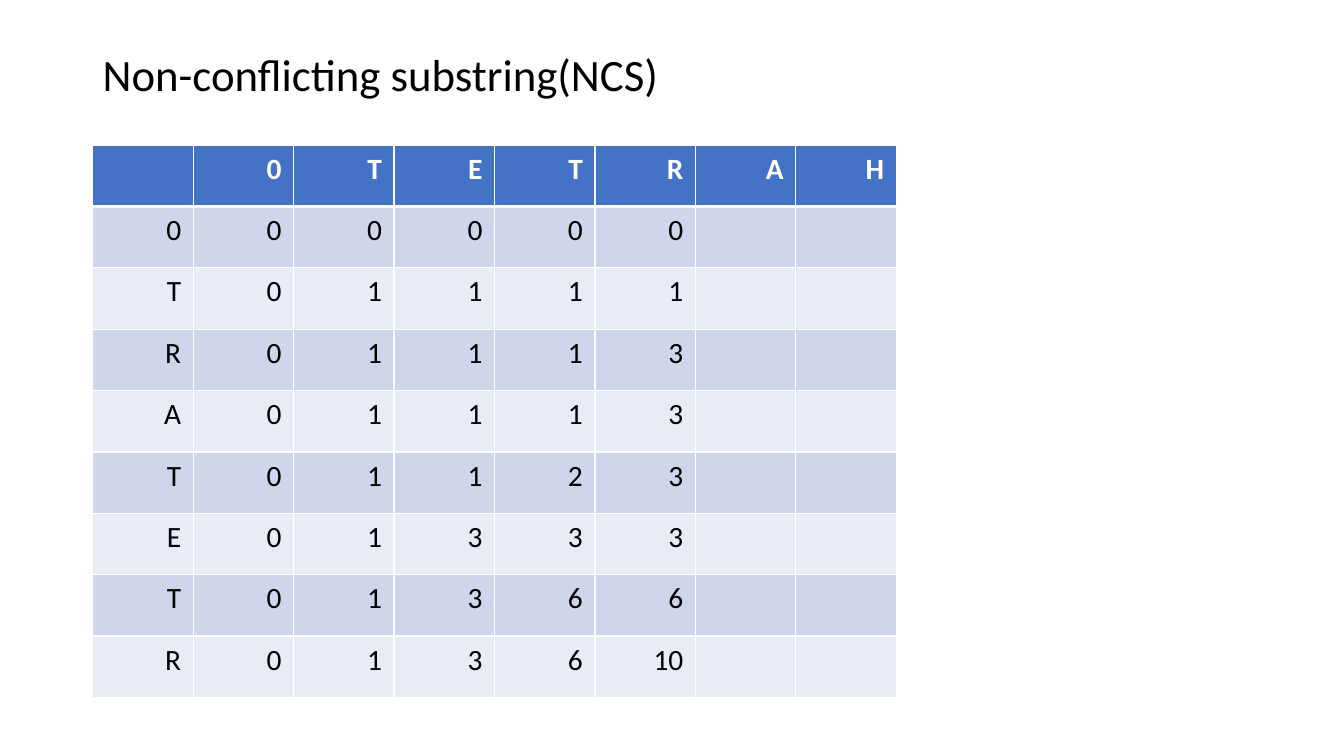
from dataclasses import dataclass

from lxml.etree import SubElement
from pptx import Presentation
from pptx.dml.color import RGBColor
from pptx.enum.text import MSO_ANCHOR, PP_ALIGN
from pptx.oxml.ns import qn
from pptx.slide import Slide
from pptx.table import Table, _Cell
from pptx.text.text import _Paragraph
from pptx.util import Inches, Pt

WHITE = RGBColor(0xFF, 0xFF, 0xFF)
BLACK = RGBColor(0x00, 0x00, 0x00)
BLUE = RGBColor(0x44, 0x72, 0xC4)
DARK = RGBColor(0xCF, 0xD5, 0xEA)
LIGHT = RGBColor(0xE9, 0xEB, 0xF5)
FACE = "Calibri"
WIDTH = 8


@dataclass
class Row:
    texts: list[str]
    fill: RGBColor
    ink: RGBColor = BLACK
    bold: bool = False
    top: int = 1
    base: int = 1


HEAD = Row(["", *"0TETRAH"], BLUE, WHITE, bold=True, base=3)
SCORES = [
    ("0", [0, 0, 0, 0, 0]),
    ("T", [0, 1, 1, 1, 1]),
    ("R", [0, 1, 1, 1, 3]),
    ("A", [0, 1, 1, 1, 3]),
    ("T", [0, 1, 1, 2, 3]),
    ("E", [0, 1, 3, 3, 3]),
    ("T", [0, 1, 3, 6, 6]),
    ("R", [0, 1, 3, 6, 10]),
]


def add_run(para: _Paragraph, text: str, size: int, ink: RGBColor, bold: bool = False) -> None:
    run = para.add_run()
    run.text = text
    run.font.name = FACE
    run.font.size = Pt(size)
    run.font.bold = bold
    run.font.color.rgb = ink


def add_title(slide: Slide, text: str) -> None:
    box = slide.shapes.add_textbox(Inches(0.92), Inches(0.4), Inches(11.5), Inches(0.73))
    frame = box.text_frame
    frame.word_wrap = True
    frame.vertical_anchor = MSO_ANCHOR.MIDDLE
    para = frame.paragraphs[0]
    para.line_spacing = 0.9
    add_run(para, text, 32, BLACK)


def add_edge(cell: _Cell, side: str, width: int) -> None:
    props = cell._tc.get_or_add_tcPr()
    line = SubElement(props, qn(f"a:{side}"), w=str(Pt(width)))
    paint = SubElement(line, qn("a:solidFill"))
    SubElement(paint, qn("a:srgbClr"), val=str(WHITE))


def fill_cell(cell: _Cell, text: str, row: Row) -> None:
    edges = {"lnL": 1, "lnR": 1, "lnT": row.top, "lnB": row.base}
    for side, width in edges.items():
        add_edge(cell, side, width)
    cell.fill.solid()
    cell.fill.fore_color.rgb = row.fill
    cell.margin_left = cell.margin_right = Inches(0.12)
    cell.margin_top = cell.margin_bottom = Inches(0.06)
    if text:
        para = cell.text_frame.paragraphs[0]
        para.alignment = PP_ALIGN.RIGHT
        add_run(para, text, 21, row.ink, row.bold)


def fill_table(table: Table, rows: list[Row]) -> None:
    for index, row in enumerate(rows):
        for column, text in enumerate(row.texts):
            fill_cell(table.cell(index, column), text, row)


def get_rows() -> list[Row]:
    rows = [HEAD]
    for index, (label, scores) in enumerate(SCORES):
        texts = [label, *map(str, scores)]
        texts += [""] * (WIDTH - len(texts))
        fill = LIGHT if index % 2 else DARK
        rows.append(Row(texts, fill, top=1 if index else HEAD.base))
    return rows


def main() -> None:
    deck = Presentation()
    deck.slide_width = Inches(13.33)
    deck.slide_height = Inches(7.5)
    slide = deck.slides.add_slide(deck.slide_layouts[6])
    add_title(slide, "Non-conflicting substring(NCS)")
    rows = get_rows()
    grid = slide.shapes.add_table(
        len(rows), WIDTH, Inches(0.92), Inches(1.44), Inches(7.97), Inches(5.48)
    )
    fill_table(grid.table, rows)
    deck.save("out.pptx")


if __name__ == "__main__":
    main()
